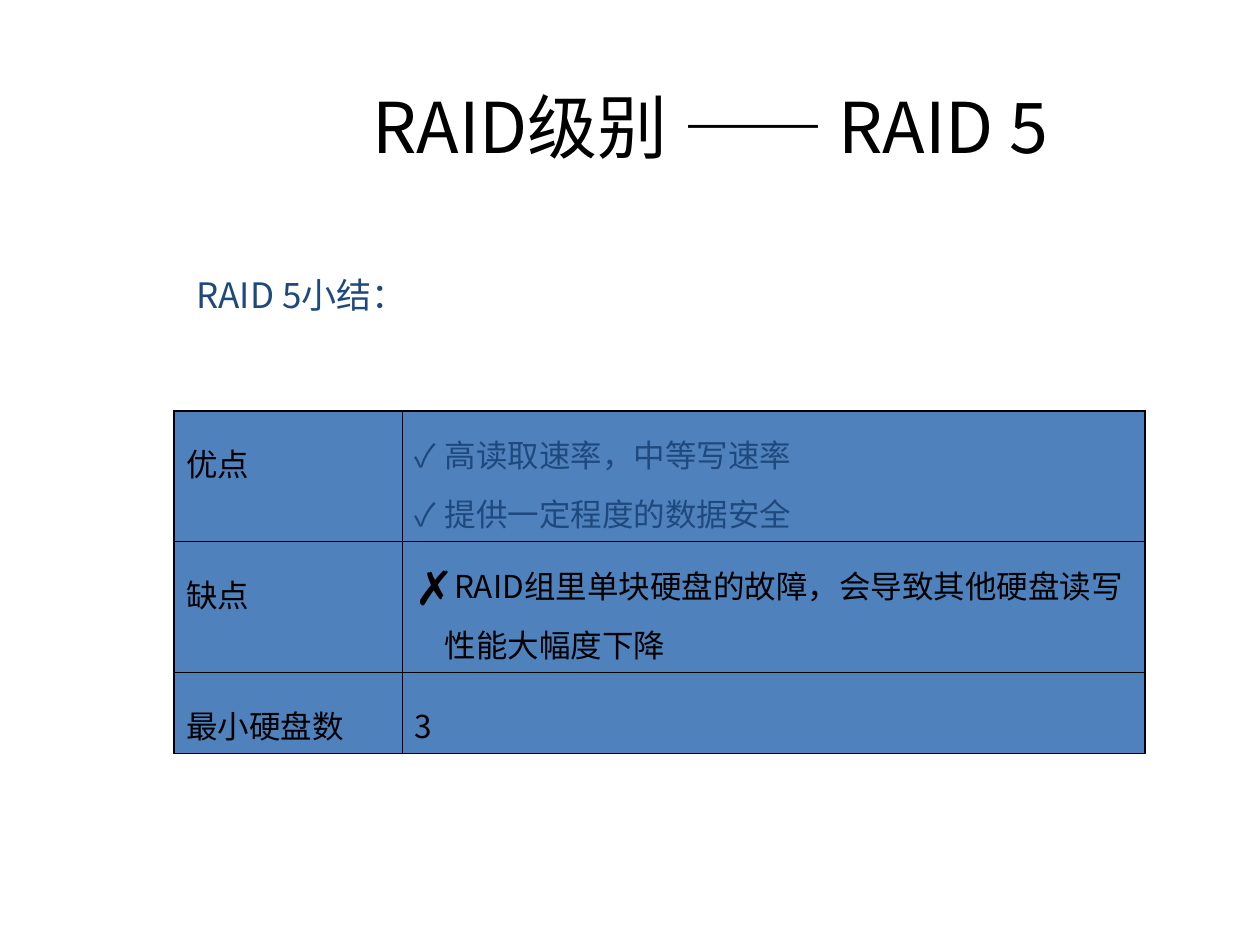
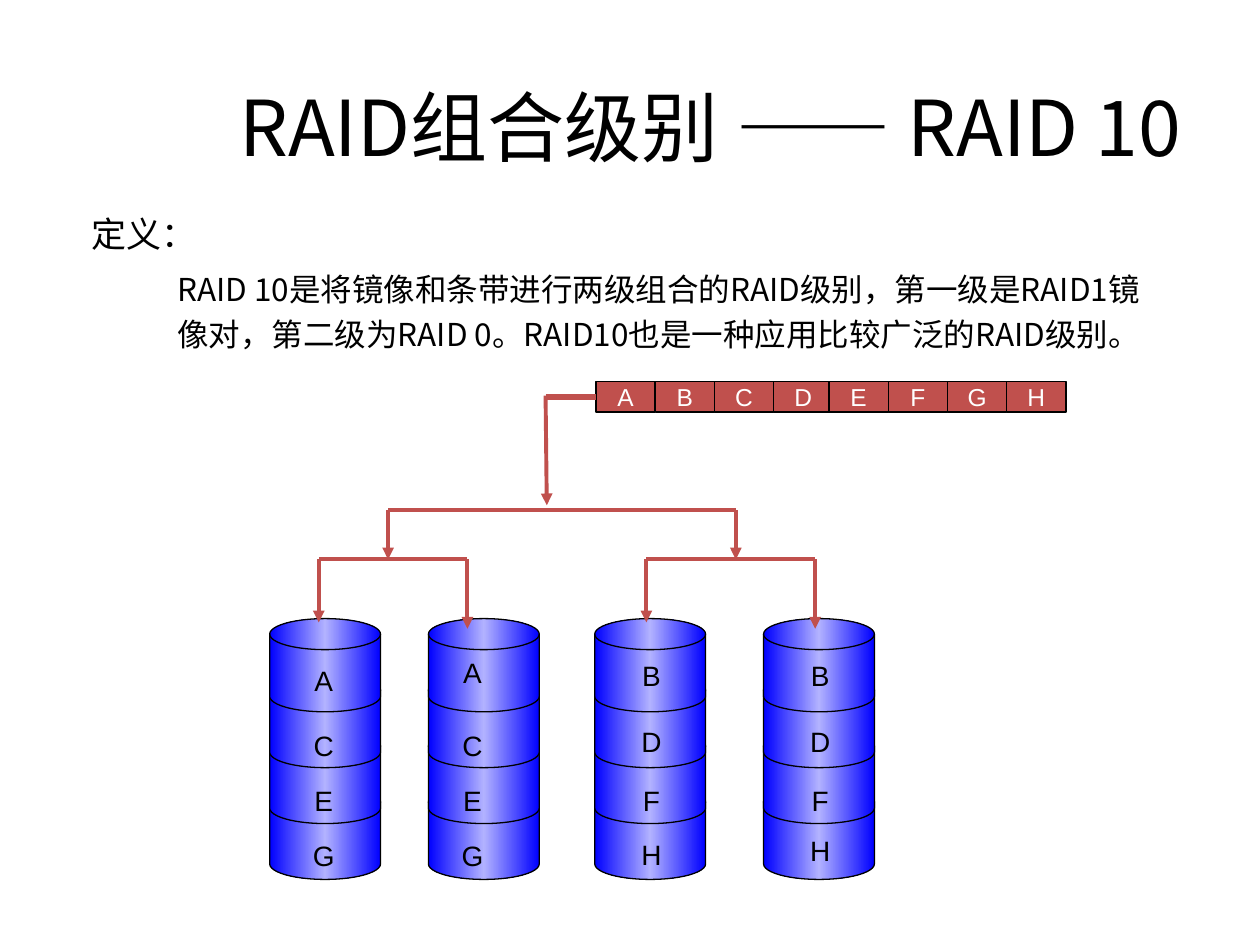
from copy import deepcopy
from dataclasses import dataclass

from lxml.etree import SubElement
from pptx import Presentation
from pptx.dml.color import RGBColor
from pptx.enum.shapes import MSO_CONNECTOR as Connector, MSO_SHAPE as Preset
from pptx.enum.text import MSO_ANCHOR as Anchor, MSO_AUTO_SIZE as AutoSize, PP_ALIGN as Align
from pptx.oxml.ns import qn
from pptx.util import Inches, Pt


@dataclass(frozen=True)
class Theme:
    black: str = "000000"
    white: str = "FFFFFF"
    navy: str = "1F497D"
    blue: str = "4F81BD"
    red: str = "C0504D"
    disk_edge: str = "0000FF"
    disk_shine: str = "B2B2FF"
    cjk: str = "Noto Sans CJK SC"
    dash: str = "Calibri"
    letter: str = "Arial"
    heading: int = 20
    body: int = 18
    disk_label: int = 16
    block_label: int = 14
    outline: float = 0.75
    wire: float = 2.25
    feed: float = 3
    outer_border: float = 1.08
    inner_border: float = 0.45


THEME = Theme()

# ---- Content ----
SUMMARY_TITLE = ("RAID级别 ", "RAID 5", 40)
SUMMARY_HEADING = "RAID 5小结："
TICK = dict(bullet="✓", color=THEME.navy)
CROSS = dict(bullet="✗", bullet_percent=150)
SUMMARY_ROWS = [  # label, lines, format of the lines, row height
    ("优点", ["高读取速率，中等写速率", "提供一定程度的数据安全"], TICK, 1.04),
    ("缺点", ["RAID组里单块硬盘的故障，会导致其他硬盘读写性能大幅度下降"], CROSS, 1.04),
    ("最小硬盘数", ["3"], {}, 0.64),
]
SUMMARY_COLUMNS = (1.81, 5.9)

RAID10_TITLE = ("RAID组合级别 ", "RAID 10", 44)
DEFINITION_HEADING = "定义："
DEFINITION = ("RAID 10是将镜像和条带进行两级组合的RAID级别，第一级是RAID1镜像对，"
              "第二级为RAID 0。RAID10也是一种应用比较广泛的RAID级别。")
DATA_BLOCKS = "ABCDEFGH"
DISKS = [  # disk left, label left, letters, label tops
    (2.14, 2.3, "ACEG", (5.22, 5.73, 6.17, 6.61)),
    (3.4, 3.48, "ACEG", (5.15, 5.73, 6.17, 6.61)),
    (4.72, 4.9, "BDFH", (5.18, 5.7, 6.17, 6.6)),
    (6.06, 6.24, "BDFH", (5.18, 5.7, 6.17, 6.57)),
]
BRANCHES = [  # left, right, bar height, left arrow end, right arrow end
    (3.08, 5.84, 4.05, 4.44, 4.44),
    (2.53, 3.71, 4.44, 4.94, 4.99),
    (5.13, 6.47, 4.44, 4.94, 4.99),
]

BLOCK_LEFT, BLOCK_TOP, BLOCK_WIDTH, BLOCK_HEIGHT = 4.73, 3.03, 0.47, 0.24
BLOCK_OVERLAP = 0.03  # the second half of the strip tucks under the first
DISK_TOP, DISK_BOTTOM, DISK_WIDTH, DISK_HEIGHT = 4.91, 6.98, 0.88, 0.74


def rgb(color):
    return RGBColor.from_string(color)


def inches(*lengths):
    return [Inches(length) for length in lengths]


def add_child(parent, tag, **attributes):
    return SubElement(parent, qn(tag), {key: str(value) for key, value in attributes.items()})


def add_color(parent, color):
    add_child(parent, "a:srgbClr", val=color)


def write(frame, text, size=THEME.body, color=THEME.black, font=THEME.cjk, align=None,
          spacing=None, before=None, margin=0, indent=0, bullet=None, bullet_percent=100):
    """Add one paragraph; text is a string or a list of (string, font) runs."""
    paragraph = frame.add_paragraph() if frame.text else frame.paragraphs[0]
    paragraph.alignment = align
    paragraph.line_spacing = spacing
    if before:
        paragraph.space_before = Pt(before)
    properties = paragraph._p.get_or_add_pPr()
    if margin:
        properties.set("marL", str(Inches(margin)))
        properties.set("indent", str(Inches(indent)))
    if bullet:
        add_color(add_child(properties, "a:buClr"), color)
        add_child(properties, "a:buSzPct", val=bullet_percent * 1000)
        add_child(properties, "a:buFont", typeface=THEME.cjk)
        add_child(properties, "a:buChar", char=bullet)
    for words, face in [(text, font)] if isinstance(text, str) else text:
        run = paragraph.add_run()
        run.text = words
        run.font.size = Pt(size)
        run.font.color.rgb = rgb(color)
        run.font.name = face
        add_child(run._r.get_or_add_rPr(), "a:ea", typeface=THEME.cjk)


def add_box(slide, *place, grow=False):
    frame = slide.shapes.add_textbox(*inches(*place)).text_frame
    frame.word_wrap = True
    if grow:
        frame.auto_size = AutoSize.SHAPE_TO_FIT_TEXT
    return frame


def add_title(slide, topic, level, size):
    frame = add_box(slide, 1.53, 0.68, 8.47, 0.63)
    frame.vertical_anchor = Anchor.MIDDLE
    frame.margin_left = frame.margin_top = frame.margin_bottom = 0
    frame.margin_right = Inches(0.25)
    runs = [(topic, THEME.cjk), ("—— ", THEME.dash), (level, THEME.cjk)]
    write(frame, runs, size=size, align=Align.CENTER)


def style_cell(cell, outer_sides):
    properties = cell._tc.get_or_add_tcPr()
    for side in "LRTB":
        width = THEME.outer_border if side in outer_sides else THEME.inner_border
        border = add_child(properties, f"a:ln{side}", w=Pt(width))
        add_color(add_child(border, "a:solidFill"), THEME.black)
    cell.fill.solid()
    cell.fill.fore_color.rgb = rgb(THEME.blue)


def add_summary_table(slide):
    heights = [row[-1] for row in SUMMARY_ROWS]
    place = inches(1.38, 3.26, sum(SUMMARY_COLUMNS), sum(heights))
    table = slide.shapes.add_table(len(heights), len(SUMMARY_COLUMNS), *place).table
    table.first_row = table.horz_banding = False
    for column, width in zip(table.columns, SUMMARY_COLUMNS):
        column.width = Inches(width)
    last = len(SUMMARY_ROWS) - 1
    for index, (label, lines, line_format, height) in enumerate(SUMMARY_ROWS):
        table.rows[index].height = Inches(height)
        label_cell, detail_cell = table.rows[index].cells
        edges = ("T" if index == 0 else "") + ("B" if index == last else "")
        style_cell(label_cell, "L" + edges)
        style_cell(detail_cell, "R" + edges)
        write(label_cell.text_frame, label, spacing=1.5)
        layout = dict(spacing=1.3, margin=0.24, indent=-0.24) if line_format else dict(spacing=1.5)
        for line in lines:
            write(detail_cell.text_frame, line, **layout, **line_format)


def add_preset(shapes, preset, *place):
    shape = shapes.add_shape(preset, *inches(*place))
    shape.shadow.inherit = False
    shape.line.color.rgb = rgb(THEME.black)
    shape.line.width = Pt(THEME.outline)
    return shape


def add_data_block(slide, index, letter):
    overlap = BLOCK_OVERLAP if index >= len(DATA_BLOCKS) // 2 else 0
    left = BLOCK_LEFT + index * BLOCK_WIDTH - overlap
    block = add_preset(slide.shapes, Preset.RECTANGLE, left, BLOCK_TOP, BLOCK_WIDTH, BLOCK_HEIGHT)
    block.fill.solid()
    block.fill.fore_color.rgb = rgb(THEME.red)
    block.text_frame.word_wrap = False
    block.text_frame.vertical_anchor = Anchor.MIDDLE
    write(block.text_frame, letter, size=THEME.block_label, color=THEME.white,
          font=THEME.letter, align=Align.CENTER)
    return block


def shade_disk(fill):
    fill.gradient()
    fill.gradient_angle = 0
    first = fill.gradient_stops[0]._gs
    first.addnext(deepcopy(first))
    colors = (THEME.disk_edge, THEME.disk_shine, THEME.disk_edge)
    for stop, color, position in zip(fill.gradient_stops, colors, (0, 0.5, 1)):
        stop.color.rgb = rgb(color)
        stop.position = position


def add_disk(slide, left, layers):
    """Stack the layers from the bottom up, so that each one covers the lid below."""
    group = slide.shapes.add_group_shape()
    step = (DISK_BOTTOM - DISK_HEIGHT - DISK_TOP) / (layers - 1)
    for layer in reversed(range(layers)):
        disk = add_preset(group.shapes, Preset.FLOWCHART_MAGNETIC_DISK,
                          left, DISK_TOP + layer * step, DISK_WIDTH, DISK_HEIGHT)
        shade_disk(disk.fill)


def add_wire(slide, start, end, width=THEME.wire, arrow=False):
    wire = slide.shapes.add_connector(Connector.STRAIGHT, *inches(*start, *end))
    wire.line.color.rgb = rgb(THEME.red)
    wire.line.width = Pt(width)
    properties = wire._element.spPr
    if arrow:
        add_child(properties.find(qn("a:ln")), "a:tailEnd", type="triangle")
    add_child(properties, "a:effectLst")
    return wire


def build_summary(slide):
    add_title(slide, *SUMMARY_TITLE)
    add_summary_table(slide)
    heading = add_box(slide, 1.46, 2.12, 2.01, 0.44, grow=True)
    write(heading, SUMMARY_HEADING, size=THEME.heading, color=THEME.navy)


def build_raid10(slide):
    add_title(slide, *RAID10_TITLE)
    definition = add_box(slide, 0.63, 1.47, 8.61, 1.56)
    write(definition, DEFINITION_HEADING, size=THEME.heading, spacing=1.5,
          margin=0.38, indent=-0.38)
    write(definition, DEFINITION, spacing=1.2, before=4.5, margin=0.68)

    for left, _, letters, _ in DISKS:
        add_disk(slide, left, len(letters))
    for left, right, bar, left_end, right_end in BRANCHES:
        add_wire(slide, (left, bar), (right, bar))
        add_wire(slide, (left, bar), (left, left_end), arrow=True)
        add_wire(slide, (right, bar), (right, right_end), arrow=True)

    blocks = [add_data_block(slide, *item) for item in enumerate(DATA_BLOCKS)]
    feed = add_wire(slide, (4.33, 3.15), (BLOCK_LEFT, 3.15), width=THEME.feed)
    feed.end_connect(blocks[0], 1)
    add_wire(slide, (4.33, 3.14), (4.34, 4.01), arrow=True)

    for _, left, letters, tops in DISKS:
        for letter, top in zip(letters, tops):
            label = add_box(slide, left, top, 0.54, 0.37, grow=True)
            write(label, letter, size=THEME.disk_label, font=THEME.letter, align=Align.CENTER)


def main():
    presentation = Presentation()
    presentation.slide_width, presentation.slide_height = inches(10, 7.5)
    blank = presentation.slide_layouts[6]
    for build in (build_summary, build_raid10):
        build(presentation.slides.add_slide(blank))
    presentation.save("out.pptx")


if __name__ == "__main__":
    main()
